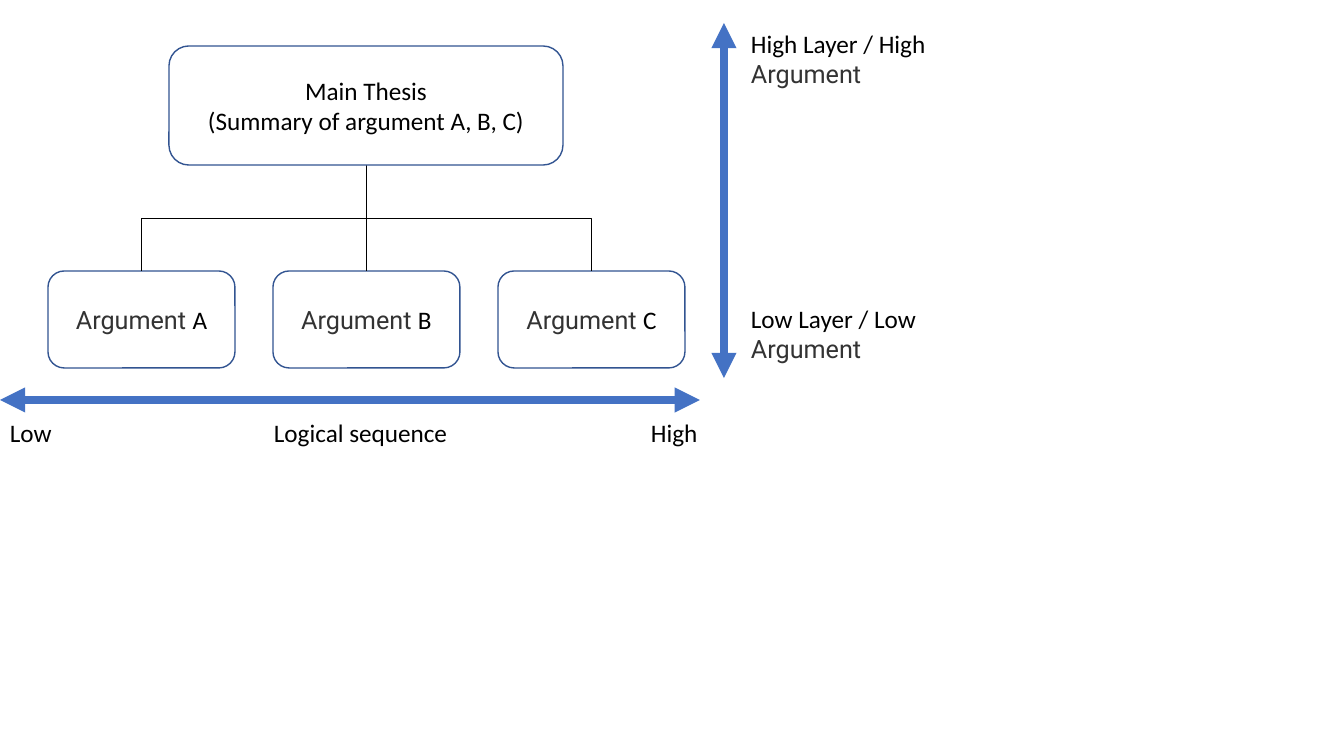
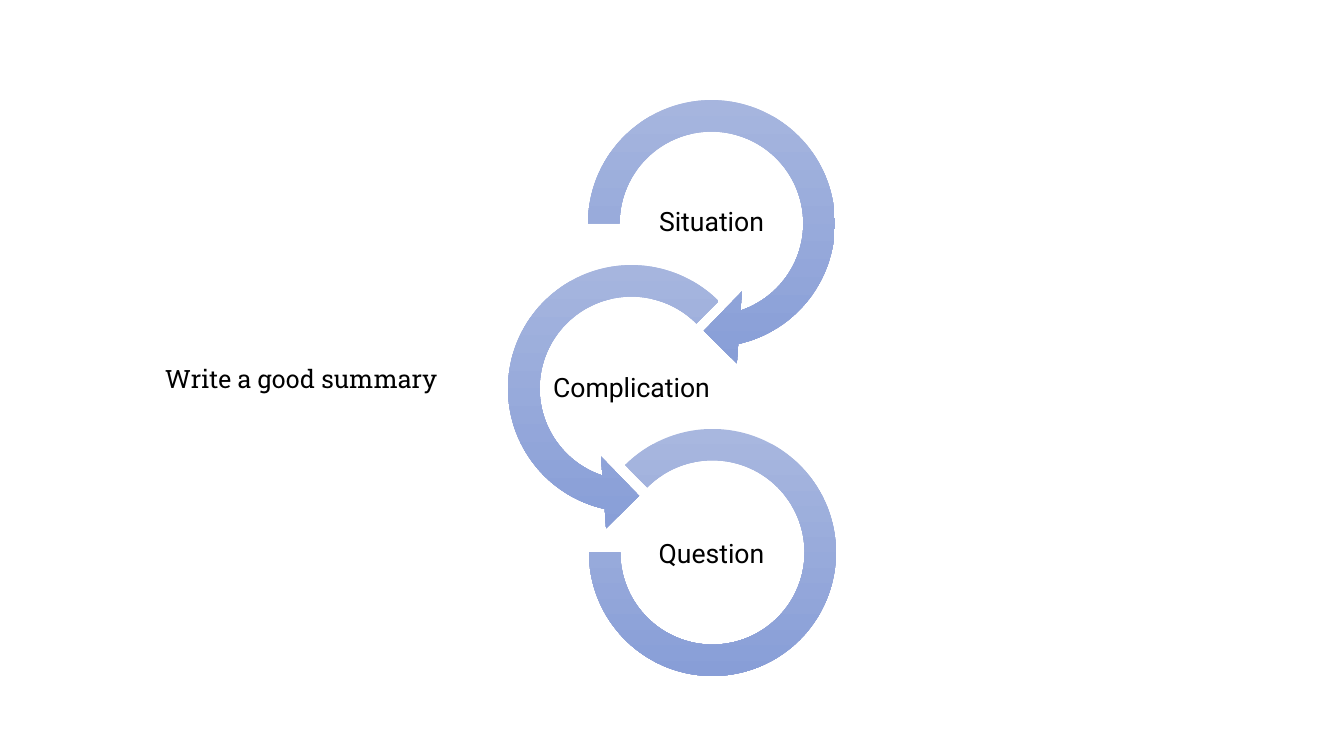
from dataclasses import dataclass

from lxml.etree import SubElement
from pptx import Presentation
from pptx.dml.color import RGBColor as Rgb
from pptx.enum.shapes import MSO_CONNECTOR as Wire, MSO_SHAPE as Preset
from pptx.enum.text import MSO_ANCHOR as Anchor, PP_ALIGN as Align
from pptx.oxml.ns import qn
from pptx.util import Emu, Pt

PAGE_WIDTH, PAGE_HEIGHT = 1344, 756
SCALE = 12192000 / PAGE_WIDTH


def px(length):
    """Turn pixels into EMU."""
    return Emu(round(length * SCALE))


def color(code):
    """Turn a hex code into a colour."""
    return Rgb.from_string(code)


def apply(target, values):
    """Set each attribute named in a dict of format values."""
    for name, value in values.items():
        setattr(target, name, value)


@dataclass(frozen=True)
class Theme:
    """Colours, text styles and line weights of the deck."""
    paper: str = "FFFFFF"
    ink: str = "000000"
    soft_ink: str = "333333"
    outline: str = "325491"
    accent: str = "4472C4"
    ring: tuple = ("A8B7DF", "889ED7")
    outline_weight: float = 1
    branch_weight: float = 0.5
    axis_weight: float = 6

    def font(self, style):
        """Return typeface, size and colour for a text style."""
        return {
            "body": ("Calibri", 18, self.ink),
            "soft": ("Roboto", 18, self.soft_ink),
            "ring": ("Roboto", 19, self.ink),
            "slab": ("Roboto Slab", 18, self.ink),
        }[style]


class Deck:
    """Holds the theme and the current page, and draws on it."""

    def __init__(self, theme):
        """Start an empty deck."""
        self.theme = theme
        self.deck = Presentation()
        apply(self.deck, {"slide_width": px(PAGE_WIDTH), "slide_height": px(PAGE_HEIGHT)})

    def new_page(self):
        """Add a blank page and make it current."""
        self.page = self.deck.slides.add_slide(self.deck.slide_layouts[6])

    def set_text(self, shape, paragraphs, frame_format, para_format):
        """Fill a shape with paragraphs of (text, style) spans."""
        frame = shape.text_frame
        apply(frame, {"word_wrap": True, **frame_format})
        for index, spans in enumerate(paragraphs):
            para = frame.add_paragraph() if index else frame.paragraphs[0]
            apply(para, para_format)
            for text, style in spans:
                span = para.add_run()
                span.text = text
                name, size, code = self.theme.font(style)
                apply(span.font, {"name": name, "size": Pt(size)})
                span.font.color.rgb = color(code)

    def text(self, left, top, width, height, *spans):
        """Add a left-aligned text box."""
        box = self.page.shapes.add_textbox(px(left), px(top), px(width), px(height))
        self.set_text(box, [spans], {}, {"alignment": Align.LEFT})

    def ring_label(self, left, top, text):
        """Add a centred label inside a ring."""
        box = self.page.shapes.add_textbox(px(left), px(top), px(159), px(80))
        margins = {f"margin_{side}": px(1) for side in ("left", "right", "top", "bottom")}
        self.set_text(box, [[(text, "ring")]], {"vertical_anchor": Anchor.MIDDLE, **margins},
                      {"alignment": Align.CENTER, "line_spacing": 0.9})

    def shape(self, preset, left, top, width, height):
        """Add a preset shape without a shadow."""
        shape = self.page.shapes.add_shape(preset, px(left), px(top), px(width), px(height))
        shape.shadow.inherit = False
        return shape

    def card(self, left, top, width, height, *paragraphs):
        """Add an outlined rounded box with centred text."""
        card = self.shape(Preset.ROUNDED_RECTANGLE, left, top, width, height)
        card.fill.solid()
        card.fill.fore_color.rgb = color(self.theme.paper)
        card.line.color.rgb = color(self.theme.outline)
        card.line.width = Pt(self.theme.outline_weight)
        self.set_text(card, paragraphs, {"vertical_anchor": Anchor.MIDDLE},
                      {"alignment": Align.CENTER})

    def ring(self, preset, left, top, size, adjustments):
        """Add a round arrow or arc shaded from top to bottom."""
        ring = self.shape(preset, left, top, size, size)
        for index, value in enumerate(adjustments):
            ring.adjustments[index] = value
        ring.line.fill.background()
        ring.fill.gradient()
        ring.fill.gradient_angle = 270
        for stop, code in zip(ring.fill.gradient_stops, self.theme.ring):
            stop.color.rgb = color(code)

    def connector(self, kind, start, end, code, weight):
        """Add a connector without a shadow."""
        wire = self.page.shapes.add_connector(kind, *map(px, start + end))
        wire.line.color.rgb = color(code)
        wire.line.width = Pt(weight)
        SubElement(wire.element.spPr, qn("a:effectLst"))
        return wire

    def axis(self, start, end):
        """Add a thick line with an arrowhead at both ends."""
        wire = self.connector(Wire.STRAIGHT, start, end, self.theme.accent,
                              self.theme.axis_weight)
        for tag in ("a:headEnd", "a:tailEnd"):
            SubElement(wire.element.spPr.find(qn("a:ln")), qn(tag), type="triangle")

    def branch(self, start, end):
        """Join a parent to a child below it, down, across and down."""
        across, down = end[0] - start[0], end[1] - start[1]
        style = (self.theme.ink, self.theme.branch_weight)
        if not across:
            self.connector(Wire.STRAIGHT, start, end, *style)
            return
        middle_x, middle_y = start[0] + across / 2, start[1] + down / 2
        half_width = down / 2 if across > 0 else -down / 2
        half_height = abs(across) / 2
        wire = self.connector(Wire.ELBOW, (middle_x + half_width, middle_y - half_height),
                              (middle_x - half_width, middle_y + half_height), *style)
        degrees = 270 if across > 0 else 90
        wire.element.spPr.find(qn("a:xfrm")).set("rot", str(degrees * 60000))


def thesis_page(deck):
    """Draw the thesis tree with its two axes."""
    deck.new_page()
    card_width, card_top = 187, 271
    for index, letter in enumerate("ABC"):
        left = 48 + 225 * index
        deck.card(left, card_top, card_width, 97, [("Argument ", "soft"), (letter, "body")])
        deck.branch((366, 165), (left + card_width // 2, card_top))
    deck.card(169, 46, 394, 119, [("Main Thesis", "body")],
              [("(Summary of argument A, B, C)", "body")])
    deck.axis((724, 23), (724, 378))
    deck.axis((0, 400), (700, 400))
    for left, width, text in ((0, 66, "Low"), (264, 200, "Logical sequence"), (641, 72, "High")):
        deck.text(left, 412, width, 40, (text, "body"))
    for top, level in ((23, "High"), (298, "Low")):
        deck.text(741, top, 206, 70, (f"{level} Layer / {level} ", "body"), ("Argument", "soft"))


def summary_page(deck):
    """Draw the chain of three rings."""
    deck.new_page()
    rings = (
        (Preset.CIRCULAR_ARROW, 568, 80, 287, (0.11, 11.42, 45, 108, 0.125)),
        (Preset.LEFT_CIRCULAR_ARROW, 488, 245, 287, (0.11, 11.42, 63, 189, 0.125)),
        (Preset.BLOCK_ARC, 589, 429, 247, (135, 108, 0.127)),
    )
    labels = ((632, "Situation"), (552, "Complication"), (632, "Question"))
    for index, (ring, (left, text)) in enumerate(zip(rings, labels)):
        deck.ring(*ring)
        deck.ring_label(left, 183 + 166 * index, text)
    deck.text(155, 358, 306, 40, ("Write a good summary", "slab"))


def main():
    """Build and save the deck."""
    deck = Deck(Theme())
    thesis_page(deck)
    summary_page(deck)
    deck.deck.save("out.pptx")


if __name__ == "__main__":
    main()
